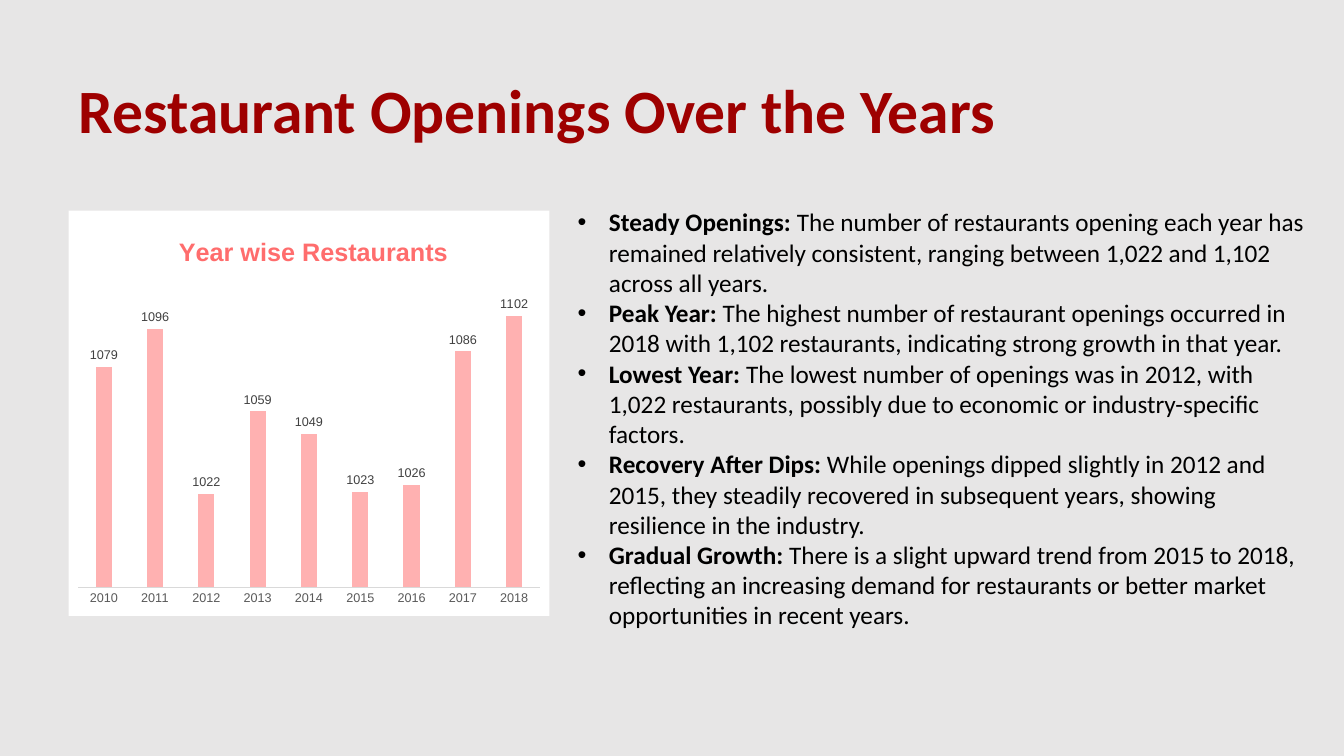
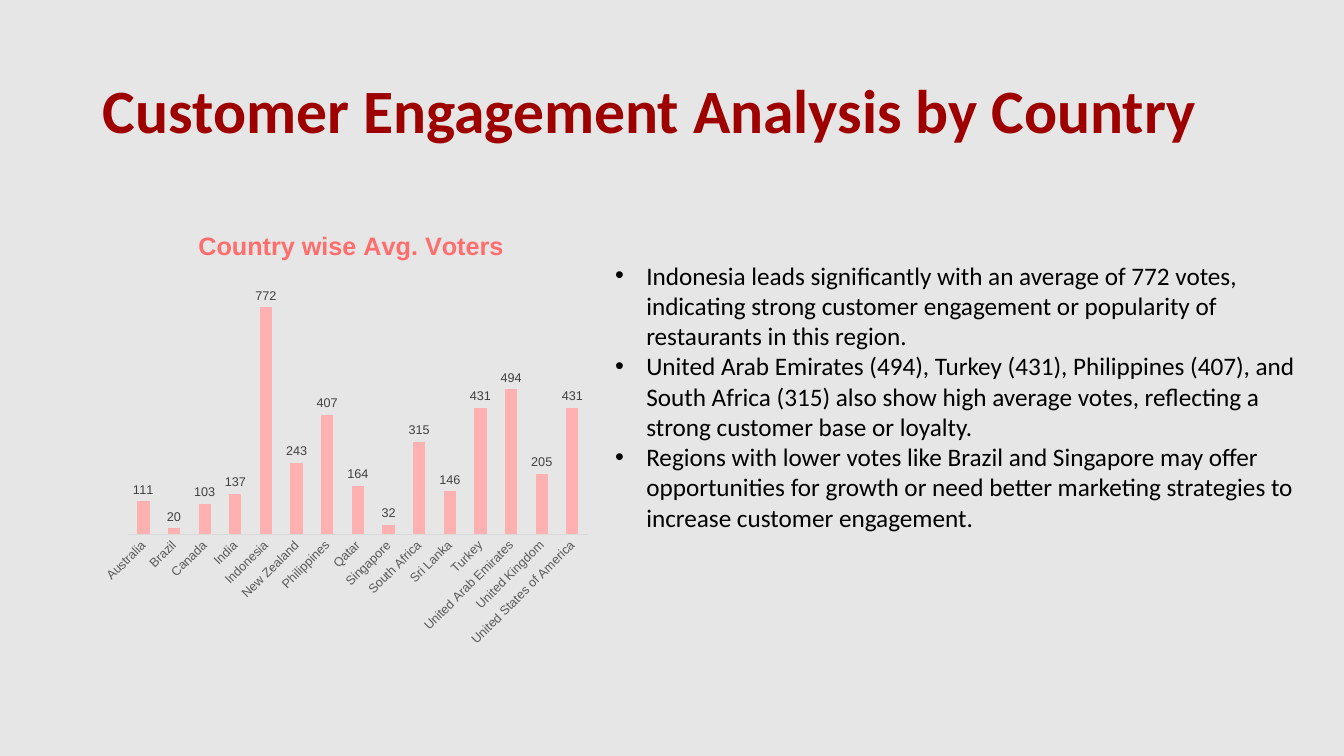
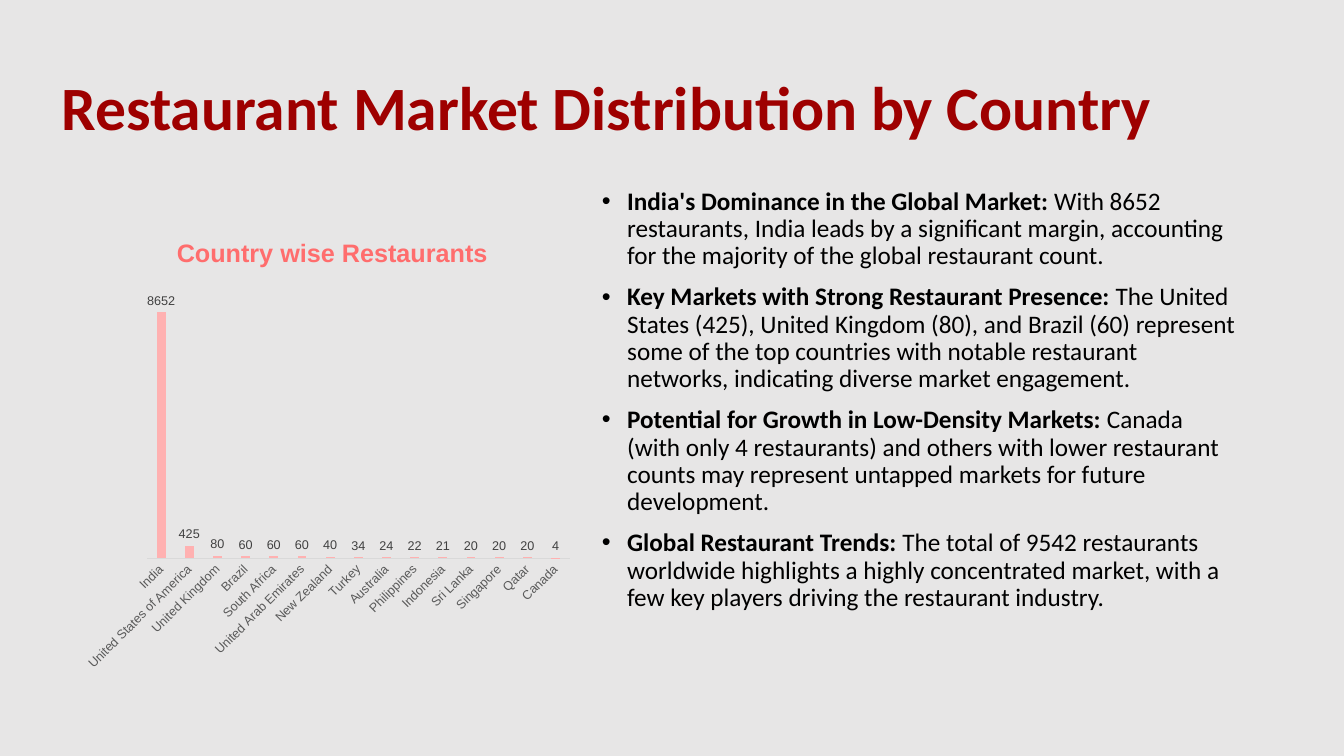
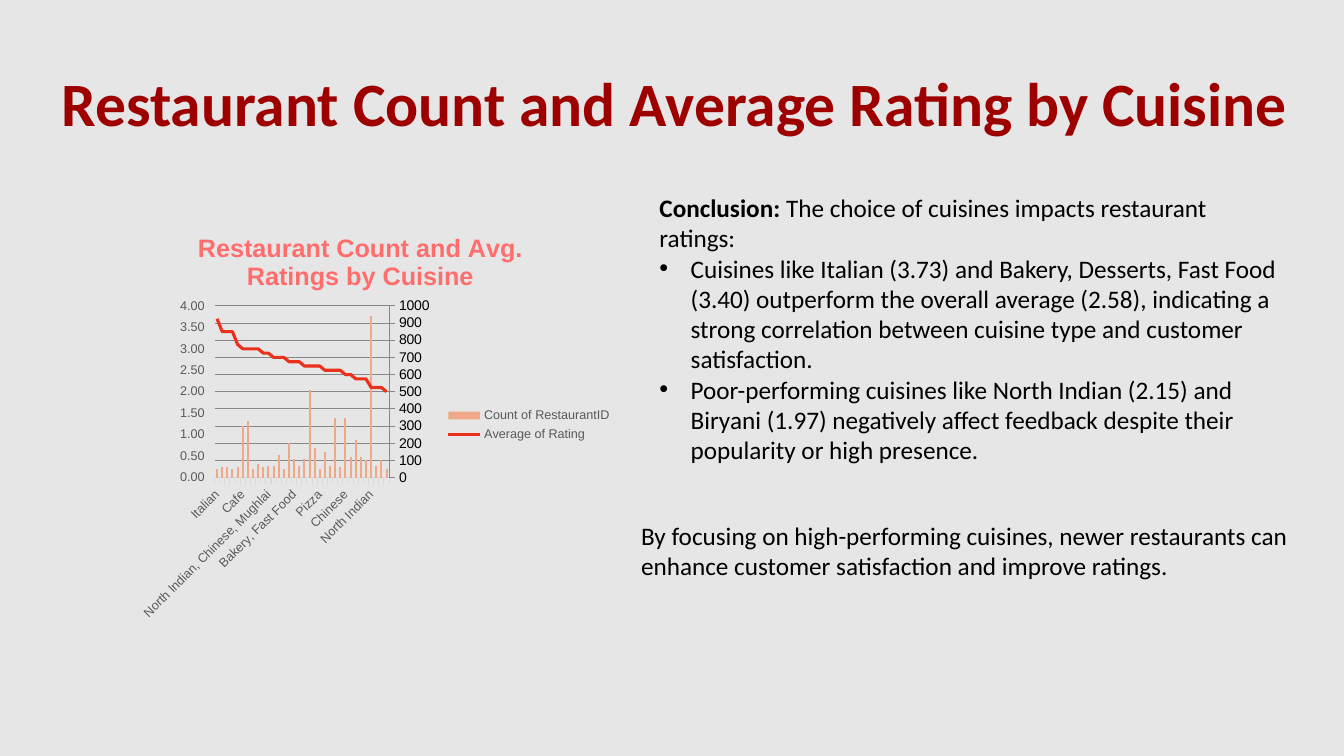
from copy import deepcopy

from pptx import Presentation
from pptx.chart.axis import ValueAxis
from pptx.chart.data import CategoryChartData
from pptx.dml.color import RGBColor
from pptx.enum.chart import (XL_CHART_TYPE, XL_LABEL_POSITION, XL_LEGEND_POSITION,
                             XL_MARKER_STYLE, XL_TICK_MARK)
from pptx.enum.text import MSO_ANCHOR, MSO_AUTO_SIZE, PP_ALIGN
from pptx.oxml import parse_xml
from pptx.oxml.ns import nsdecls, qn
from pptx.util import Inches, Pt

COLUMNS = XL_CHART_TYPE.COLUMN_CLUSTERED
OUTSIDE_END = XL_LABEL_POSITION.OUTSIDE_END
LEGEND_RIGHT = XL_LEGEND_POSITION.RIGHT
NO_MARKER = XL_MARKER_STYLE.NONE
TICK_NONE, TICK_OUT = XL_TICK_MARK.NONE, XL_TICK_MARK.OUTSIDE
MIDDLE, TOP = MSO_ANCHOR.MIDDLE, MSO_ANCHOR.TOP
NO_AUTOFIT = MSO_AUTO_SIZE.NONE
LEFT = PP_ALIGN.LEFT

COLORS = {
    "background": "E7E6E6", "title": "9E0000", "text": "000000", "panel": "FFFFFF",
    "chart_title": "FF6D6D", "bar": "FFB1B1", "count": "EFA989", "rating": "EA311E",
    "axis_text": "595959", "axis_line": "D9D9D9", "label": "404040",
}
TEXT_FONT, CHART_FONT = "Calibri", "Arial"
TITLE_LAYOUT = 1

OPENINGS = {"2010": 1079, "2011": 1096, "2012": 1022, "2013": 1059, "2014": 1049,
            "2015": 1023, "2016": 1026, "2017": 1086, "2018": 1102}
VOTERS = {
    "Australia": 111, "Brazil": 20, "Canada": 103, "India": 137, "Indonesia": 772,
    "New Zealand": 243, "Philippines": 407, "Qatar": 164, "Singapore": 32,
    "South Africa": 315, "Sri Lanka": 146, "Turkey": 431, "United Arab Emirates": 494,
    "United Kingdom": 205, "United States of America": 431,
}
RESTAURANTS = {
    "India": 8652, "United States of America": 425, "United Kingdom": 80, "Brazil": 60,
    "South Africa": 60, "United Arab Emirates": 60, "New Zealand": 40, "Turkey": 34,
    "Australia": 24, "Philippines": 22, "Indonesia": 21, "Sri Lanka": 20,
    "Singapore": 20, "Qatar": 20, "Canada": 4,
}
CUISINES = [
    ("Italian", 50, 3.7), ("Fast Food, Burger", 60, 3.4),
    ("Bakery, Desserts, Fast Food", 60, 3.4), ("Chinese, Thai", 50, 3.4),
    ("North Indian, Chinese, Continental", 60, 3.1), ("Cafe", 300, 3),
    ("North Indian, Mughlai", 330, 3), ("Desserts", 50, 3),
    ("Ice Cream, Desserts", 80, 3), ("American, Fast Food, Salad, Healthy Food", 60, 2.9),
    ("North Indian, Chinese, Mughlai", 70, 2.9),
    ("North Indian, Chinese, Fast Food", 70, 2.8), ("Pizza, Fast Food", 130, 2.8),
    ("Beverages", 50, 2.8), ("North Indian, Mughlai, Chinese", 200, 2.7),
    ("Bakery, Fast Food", 110, 2.7), ("North Indian, Fast Food", 70, 2.7),
    ("South Indian", 110, 2.6), ("North Indian, Chinese", 510, 2.6),
    ("Bakery, Desserts", 170, 2.6), ("Pizza", 50, 2.6), ("Street Food", 150, 2.5),
    ("Ice Cream", 70, 2.5), ("Fast Food", 350, 2.5), ("Mughlai, North Indian", 60, 2.5),
    ("Chinese", 350, 2.4), ("Chinese, Fast Food", 120, 2.4), ("Bakery", 220, 2.3),
    ("Mithai, Street Food", 120, 2.3), ("Chinese, North Indian", 100, 2.3),
    ("North Indian", 940, 2.1), ("Mithai", 70, 2.1), ("Mughlai", 100, 2.1),
    ("Biryani", 50, 2),
]

OPENINGS_POINTS = [
    ("Steady Openings:", " The number of restaurants opening each year has remained relatively consistent, ranging between 1,022 and 1,102 across all years."),
    ("Peak Year:", " The highest number of restaurant openings occurred in 2018 with 1,102 restaurants, indicating strong growth in that year."),
    ("Lowest Year:", " The lowest number of openings was in 2012, with 1,022 restaurants, possibly due to economic or industry-specific factors."),
    ("Recovery After Dips:", " While openings dipped slightly in 2012 and 2015, they steadily recovered in subsequent years, showing resilience in the industry."),
    ("Gradual Growth:", " There is a slight upward trend from 2015 to 2018, reflecting an increasing demand for restaurants or better market opportunities in recent years."),
]
VOTERS_POINTS = [
    ("", "Indonesia leads significantly with an average of 772 votes, indicating strong customer engagement or popularity of restaurants in this region."),
    ("", "United Arab Emirates (494), Turkey (431), Philippines (407), and South Africa (315) also show high average votes, reflecting a strong customer base or loyalty."),
    ("", "Regions with lower votes like Brazil and Singapore may offer opportunities for growth or need better marketing strategies to increase customer engagement."),
]
MARKET_POINTS = [
    ("India's Dominance in the Global Market: ", "With 8652 restaurants, India leads by a significant margin, accounting for the majority of the global restaurant count."),
    ("Key Markets with Strong Restaurant Presence: ", "The United States (425), United Kingdom (80), and Brazil (60) represent some of the top countries with notable restaurant networks, indicating diverse market engagement."),
    ("Potential for Growth in Low-Density Markets: ", "Canada (with only 4 restaurants) and others with lower restaurant counts may represent untapped markets for future development."),
    ("Global Restaurant Trends: ", "The total of 9542 restaurants worldwide highlights a highly concentrated market, with a few key players driving the restaurant industry."),
]
CUISINE_POINTS = [
    ("Conclusion: ", "The choice of cuisines impacts restaurant ratings:"),
    ("", "Cuisines like Italian (3.73) and Bakery, Desserts, Fast Food (3.40) outperform the overall average (2.58), indicating a strong correlation between cuisine type and customer satisfaction."),
    ("", "Poor-performing cuisines like North Indian (2.15) and Biryani (1.97) negatively affect feedback despite their popularity or high presence."),
]
CUISINE_NOTE = "By focusing on high-performing cuisines, newer restaurants can enhance customer satisfaction and improve ratings."


def rgb(name):
    """Return the named palette colour."""
    return RGBColor.from_string(COLORS[name])


def style_font(font, size, color, name, bold=False):
    """Set size, colour, typeface and weight of a font."""
    font.size, font.name, font.bold = Pt(size), name, bold
    font.color.rgb = rgb(color)


def place(sp, box):
    """Move and size a shape to a box in inches."""
    sp.left, sp.top, sp.width, sp.height = map(Inches, box)


def set_frame(tf, anchor, inset=0.05):
    """Set wrapping, anchor and insets of a text frame."""
    tf.word_wrap, tf.auto_size, tf.vertical_anchor = True, NO_AUTOFIT, anchor
    tf.margin_left = tf.margin_right = Inches(0.1)
    tf.margin_top = tf.margin_bottom = Inches(inset)


def add_slide(prs, title, box):
    """Add a slide with a formatted title."""
    s = prs.slides.add_slide(prs.slide_layouts[TITLE_LAYOUT])
    sp = s.shapes.title
    place(sp, box)
    set_frame(sp.text_frame, MIDDLE)
    p = sp.text_frame.paragraphs[0]
    p.text, p.alignment, p.line_spacing = title, LEFT, 0.9
    style_font(p.runs[0].font, 44, "title", TEXT_FONT, True)
    return s


def set_bullet(p, indent):
    """Give a paragraph a hanging bullet, or none when indent is zero."""
    pPr = p._p.get_or_add_pPr()
    pPr.set("marL", str(Inches(indent)))
    pPr.set("indent", str(-Inches(indent)))
    if indent:
        pPr.append(parse_xml(f'<a:buFont {nsdecls("a")} typeface="Arial"/>'))
        pPr.append(parse_xml(f'<a:buChar {nsdecls("a")} char="•"/>'))
    else:
        pPr.append(parse_xml(f'<a:buNone {nsdecls("a")}/>'))


def add_points(s, box, points, indent=0.31, spacing=1.0, gap=0, intro=False):
    """Fill the body placeholder with bullets that may have a bold lead."""
    sp = s.placeholders[1]
    place(sp, box)
    tf = sp.text_frame
    set_frame(tf, TOP)
    for i, point in enumerate(points):
        p = tf.add_paragraph() if i else tf.paragraphs[0]
        p.line_spacing, p.space_before = spacing, Pt(gap if i else 0)
        set_bullet(p, 0 if intro and i == 0 else indent)
        for text, bold in zip(point, (True, False)):
            if text:
                r = p.add_run()
                r.text = text
                style_font(r.font, 18, "text", TEXT_FONT, bold)


def add_note(s, box, text):
    """Add a plain text box."""
    tf = s.shapes.add_textbox(*map(Inches, box)).text_frame
    set_frame(tf, TOP, 0.1)
    tf.text = text
    style_font(tf.paragraphs[0].runs[0].font, 18, "text", TEXT_FONT)


def set_layout(el, index, target="", **pos):
    """Give a chart part a manual layout in fractions of the chart."""
    old = el.find(qn("c:layout"))
    if old is not None:
        el.remove(old)
    modes = "".join(f'<c:{k}Mode val="edge"/>' for k in "xy")
    values = "".join(f'<c:{k} val="{v}"/>' for k, v in pos.items())
    el.insert(index, parse_xml(
        f'<c:layout {nsdecls("c")}><c:manualLayout>{target}{modes}{values}'
        '</c:manualLayout></c:layout>'))


def set_chart_fill(chart, fill):
    """Fill the chart area, or leave it clear, without an outline."""
    paint = (f'<a:solidFill><a:srgbClr val="{COLORS[fill]}"/></a:solidFill>'
             if fill else "<a:noFill/>")
    chart.element.find(qn("c:chart")).addnext(parse_xml(
        f'<c:spPr {nsdecls("c", "a")}>{paint}<a:ln><a:noFill/></a:ln></c:spPr>'))


def style_category_axis(axis, tick, slanted):
    """Format the category axis and slant its labels if asked."""
    axis.major_tick_mark = tick
    axis.has_major_gridlines = False
    axis.format.line.color.rgb = rgb("axis_line")
    axis.format.line.width = Pt(0.75)
    style_font(axis.tick_labels.font, 9, "axis_text", CHART_FONT)
    if slanted:
        axis._element.find(f'{qn("c:txPr")}/{qn("a:bodyPr")}').set("rot", "-2700000")


def style_value_axis(axis, low, high, step=None, number_format="0"):
    """Scale and format a value axis."""
    axis.has_major_gridlines = False
    axis.minimum_scale, axis.maximum_scale = low, high
    axis.major_unit = step
    axis.major_tick_mark = TICK_OUT
    axis.format.line.fill.background()
    labels = axis.tick_labels
    labels.number_format, labels.number_format_is_linked = number_format, False
    style_font(labels.font, 9, "axis_text", CHART_FONT)


def add_chart(s, box, title, title_x, plot_area, cats, series, bar="bar", gap=150,
              overlap=0, fill=None, tick=TICK_NONE, slanted=True):
    """Add a titled column chart and return it."""
    data = CategoryChartData()
    data.categories = cats
    for name, values in series:
        data.add_series(name, values)
    chart = s.shapes.add_chart(COLUMNS, *map(Inches, box), data).chart
    style_font(chart.font, 10, "text", CHART_FONT)
    chart.has_legend = False
    tf = chart.chart_title.text_frame
    tf.text = title
    style_font(tf.paragraphs[0].runs[0].font, 18, "chart_title", CHART_FONT, True)
    chart.chart_title.include_in_layout = False
    set_layout(chart.element.find(".//" + qn("c:title")), 1, x=title_x, y=0.05)
    set_layout(chart.element.find(".//" + qn("c:plotArea")), 0,
               '<c:layoutTarget val="inner"/>', **dict(zip("xywh", plot_area)))
    set_chart_fill(chart, fill)
    style_category_axis(chart.category_axis, tick, slanted)
    plot = chart.plots[0]
    plot.gap_width, plot.overlap, plot.vary_by_categories = gap, overlap, False
    ser = plot.series[0]
    ser.invert_if_negative = False
    ser.format.fill.solid()
    ser.format.fill.fore_color.rgb = rgb(bar)
    return chart


def add_column_chart(s, box, title, title_x, plot_area, values, low, high, **options):
    """Add a single-series column chart with value labels and no value axis."""
    chart = add_chart(s, box, title, title_x, plot_area, list(values),
                      [("Series 1", list(values.values()))], **options)
    style_value_axis(chart.value_axis, low, high)
    chart.value_axis.visible = False
    plot = chart.plots[0]
    plot.has_data_labels = True
    labels = plot.data_labels
    labels.show_value, labels.position = True, OUTSIDE_END
    labels.number_format, labels.number_format_is_linked = "0", False
    style_font(labels.font, 9, "label", CHART_FONT)


def move_to_line(chart):
    """Turn the second series into a line with its own axes and return its value axis."""
    area = chart.element.find(".//" + qn("c:plotArea"))
    bars = area.find(qn("c:barChart"))
    ser = bars.findall(qn("c:ser"))[1]
    invert = ser.find(qn("c:invertIfNegative"))
    if invert is not None:
        ser.remove(invert)
    line = parse_xml(
        f'<c:lineChart {nsdecls("c")}><c:grouping val="standard"/><c:varyColors val="0"/>'
        '<c:marker val="1"/><c:axId val="5001"/><c:axId val="5002"/></c:lineChart>')
    line.insert(2, ser)
    bars.addnext(line)
    cat, val = area.find(qn("c:catAx")), area.find(qn("c:valAx"))
    cat2, val2 = deepcopy(cat), deepcopy(val)
    for axis, own, other in ((cat2, "5001", "5002"), (val2, "5002", "5001")):
        axis.find(qn("c:axId")).set("val", own)
        axis.find(qn("c:crossAx")).set("val", other)
    cat2.find(qn("c:delete")).set("val", "1")
    val.find(qn("c:axPos")).set("val", "r")
    val.find(qn("c:crosses")).set("val", "max")
    val.addnext(val2)
    val2.addnext(cat2)
    return ValueAxis(val2)


def add_cuisine_chart(s):
    """Add the count columns with the rating line."""
    cats, counts, ratings = zip(*CUISINES)
    chart = add_chart(s, (0.92, 2.03, 5.25, 4.37),
                      "Restaurant Count and Avg. Ratings by Cuisine", 0.19,
                      (0.23, 0.23, 0.33, 0.39), cats,
                      [("Count of RestaurantID", counts), ("Average of Rating", ratings)],
                      bar="count", tick=TICK_OUT)
    rating_axis = move_to_line(chart)
    style_value_axis(chart.value_axis, 0, 1000, 100)
    style_value_axis(rating_axis, 0, 4, 0.5, "0.00")
    ser = chart.plots[1].series[0]
    ser.smooth = False
    ser.marker.style = NO_MARKER
    ser.format.line.color.rgb = rgb("rating")
    ser.format.line.width = Pt(2.25)
    chart.has_legend = True
    chart.legend.position, chart.legend.include_in_layout = LEGEND_RIGHT, False
    style_font(chart.legend.font, 9, "axis_text", CHART_FONT)


def main():
    """Build and save the presentation."""
    prs = Presentation()
    prs.slide_width, prs.slide_height = Inches(13.33), Inches(7.5)
    background = prs.slide_master.background.fill
    background.solid()
    background.fore_color.rgb = rgb("background")

    s = add_slide(prs, "Restaurant Openings Over the Years", (0.68, 0.4, 11.5, 1.45))
    add_points(s, (5.63, 2, 7.43, 4.65), OPENINGS_POINTS)
    add_column_chart(s, (0.68, 2.09, 4.77, 4.02), "Year wise Restaurants", 0.22,
                     (0.02, 0.16, 0.96, 0.77), OPENINGS, 980, 1120,
                     gap=219, overlap=-27, fill="panel", slanted=False)

    s = add_slide(prs, "Customer Engagement Analysis by Country", (0.92, 0.4, 11.5, 1.45))
    add_points(s, (6, 2.53, 7.01, 2.83), VOTERS_POINTS)
    add_column_chart(s, (0.92, 2, 5.01, 4.52), "Country wise Avg. Voters", 0.2,
                     (0.07, 0.15, 0.91, 0.58), VOTERS, 0, 900)

    s = add_slide(prs, "Restaurant Market Distribution by Country", (0.51, 0.37, 11.5, 1.45))
    add_points(s, (5.87, 1.82, 6.54, 5.03), MARKET_POINTS, 0.25, 0.9, 10)
    add_column_chart(s, (0.76, 2.06, 4.99, 4.7), "Country wise Restaurants", 0.19,
                     (0.14, 0.14, 0.84, 0.6), RESTAURANTS, 0, 10000,
                     gap=219, overlap=-27)

    s = add_slide(prs, "Restaurant Count and Average Rating by Cuisine",
                  (0.51, 0.4, 12.42, 1.31))
    add_points(s, (6.44, 1.86, 6.32, 2.83), CUISINE_POINTS, intro=True)
    add_note(s, (6.26, 5.06, 6.67, 1.1), CUISINE_NOTE)
    add_cuisine_chart(s)

    prs.save("out.pptx")


if __name__ == "__main__":
    main()
